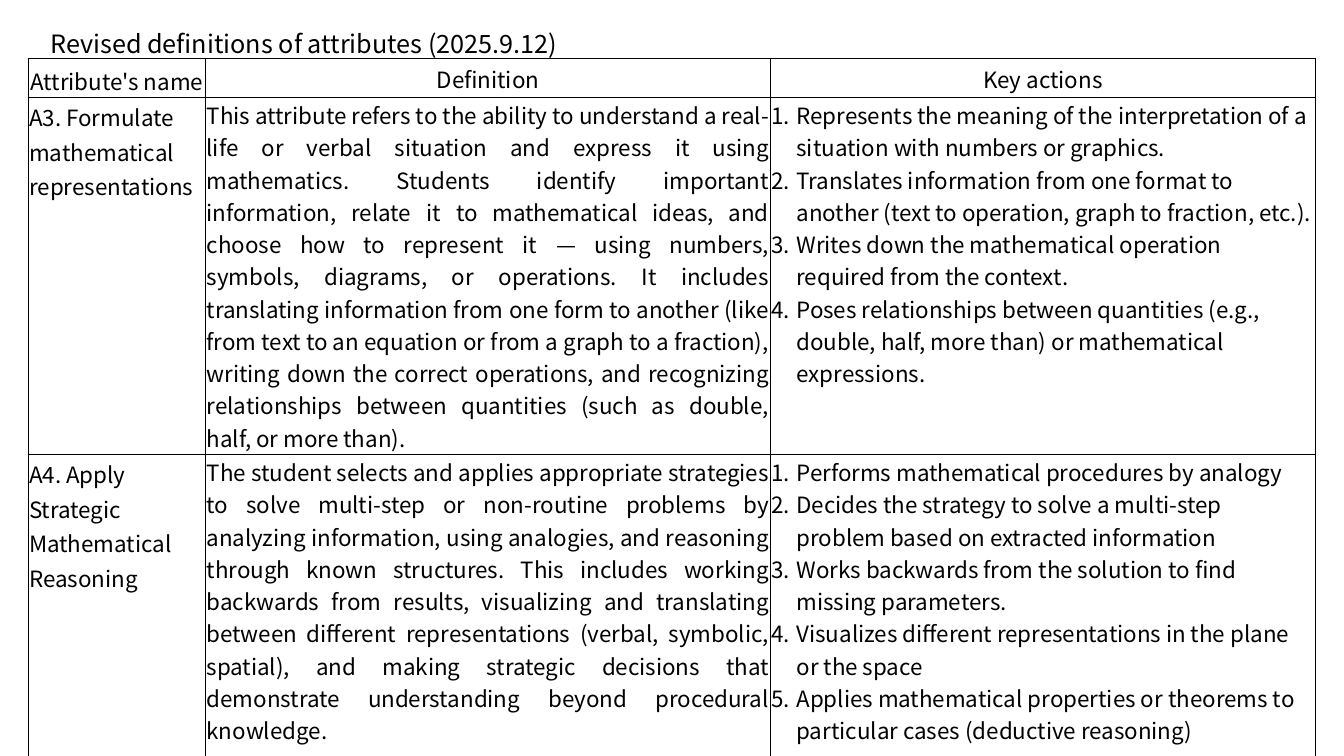
from lxml import etree
from pptx import Presentation
from pptx.dml.color import RGBColor
from pptx.enum.text import MSO_ANCHOR, MSO_AUTO_SIZE, PP_ALIGN
from pptx.oxml.ns import qn
from pptx.util import Pt

PX = 9144  # 100 px to the inch
BLACK = RGBColor(0, 0, 0)
FONT = "Noto Sans CJK JP"
LEFT, CENTER, JUSTIFY = PP_ALIGN.LEFT, PP_ALIGN.CENTER, PP_ALIGN.JUSTIFY
TOP, MIDDLE, BOTTOM = MSO_ANCHOR.TOP, MSO_ANCHOR.MIDDLE, MSO_ANCHOR.BOTTOM

HEADINGS = ["Attribute's name", "Definition", "Key actions"]
ATTRIBUTES = [
    ("A3. Formulate mathematical representations",
     "This attribute refers to the ability to understand a real-life or verbal situation and "
     "express it using mathematics. Students identify important information, relate it to "
     "mathematical ideas, and choose how to represent it — using numbers, symbols, diagrams, "
     "or operations. It includes translating information from one form to another (like from "
     "text to an equation or from a graph to a fraction), writing down the correct operations, "
     "and recognizing relationships between quantities (such as double, half, or more than).",
     ["Represents the meaning of the interpretation of a situation with numbers or graphics.",
      "Translates information from one format to another (text to operation, graph to fraction, etc.).",
      "Writes down the mathematical operation required from the context.",
      "Poses relationships between quantities (e.g., double, half, more than) or mathematical expressions."]),
    ("A4. Apply Strategic Mathematical Reasoning",
     "The student selects and applies appropriate strategies to solve multi-step or non-routine "
     "problems by analyzing information, using analogies, and reasoning through known structures. "
     "This includes working backwards from results, visualizing and translating between different "
     "representations (verbal, symbolic, spatial), and making strategic decisions that demonstrate "
     "understanding beyond procedural knowledge.",
     ["Performs mathematical procedures by analogy",
      "Decides the strategy to solve a multi-step problem based on extracted information",
      "Works backwards from the solution to find missing parameters.",
      "Visualizes different representations in the plane or the space",
      "Applies mathematical properties or theorems to particular cases (deductive reasoning)"]),
]


def write_paragraph(paragraph, text, size, **formats):
    run = paragraph.add_run()
    run.text = text
    run.font.name = FONT
    run.font.size = Pt(size)
    run.font.color.rgb = BLACK
    for name, value in formats.items():
        setattr(paragraph, name, value)


def draw_borders(cell):
    properties = cell._tc.get_or_add_tcPr()
    for position, side in enumerate(("a:lnL", "a:lnR", "a:lnT", "a:lnB")):
        line = etree.Element(qn(side), w=str(Pt(1)))
        fill = etree.SubElement(line, qn("a:solidFill"))
        etree.SubElement(fill, qn("a:srgbClr"), val=str(BLACK))
        properties.insert(position, line)


prs = Presentation()
prs.slide_width, prs.slide_height = 1333 * PX, 750 * PX
slide = prs.slides.add_slide(prs.slide_layouts[5])

# Title
title = slide.shapes.title
title.left, title.top, title.width, title.height = (n * PX for n in (40, 23, 666, 40))
title.text_frame.auto_size = MSO_AUTO_SIZE.NONE
title.text_frame.vertical_anchor = TOP
write_paragraph(title.text_frame.paragraphs[0],
                "Revised definitions of attributes (2025.9.12)", 18, alignment=LEFT)

# Table grid
COLUMN_WIDTHS = [176, 560, 541]
ROW_HEIGHTS = [39, 353, 304]
frame = slide.shapes.add_table(len(ROW_HEIGHTS), len(COLUMN_WIDTHS), 28 * PX, 58 * PX,
                               sum(COLUMN_WIDTHS) * PX, sum(ROW_HEIGHTS) * PX)
attribute_table = frame.table
attribute_table.first_row = attribute_table.horz_banding = False
for column, width in zip(attribute_table.columns, COLUMN_WIDTHS):
    column.width = width * PX
for row, height in zip(attribute_table.rows, ROW_HEIGHTS):
    row.height = height * PX
for cell in attribute_table.iter_cells():
    cell.fill.background()
    cell.margin_left = cell.margin_right = cell.margin_top = cell.margin_bottom = PX
    draw_borders(cell)

# Heading row
SPACED = {"line_spacing": 1.07, "space_after": Pt(8)}
for column, (heading, anchor) in enumerate(zip(HEADINGS, (BOTTOM, MIDDLE, MIDDLE))):
    cell = attribute_table.cell(0, column)
    cell.vertical_anchor = anchor
    write_paragraph(cell.text_frame.paragraphs[0], heading, 16, alignment=CENTER, **SPACED)

# Attribute rows
for row, (attribute, definition, actions) in enumerate(ATTRIBUTES, start=1):
    name_cell, definition_cell, actions_cell = (attribute_table.cell(row, c) for c in range(3))
    write_paragraph(name_cell.text_frame.paragraphs[0], attribute, 16, alignment=LEFT, **SPACED)
    write_paragraph(definition_cell.text_frame.paragraphs[0], definition, 16,
                    alignment=JUSTIFY, space_after=Pt(8))
    # Numbered key actions
    action_frame = actions_cell.text_frame
    for number, action in enumerate(actions):
        paragraph = action_frame.add_paragraph() if number else action_frame.paragraphs[0]
        write_paragraph(paragraph, action, 16, alignment=LEFT)
        properties = paragraph._p.get_or_add_pPr()
        properties.set("marL", str(25 * PX))
        properties.set("indent", str(-25 * PX))
        etree.SubElement(properties, qn("a:buFont"), typeface="+mj-lt")
        etree.SubElement(properties, qn("a:buAutoNum"), type="arabicPeriod")

prs.save("out.pptx")
